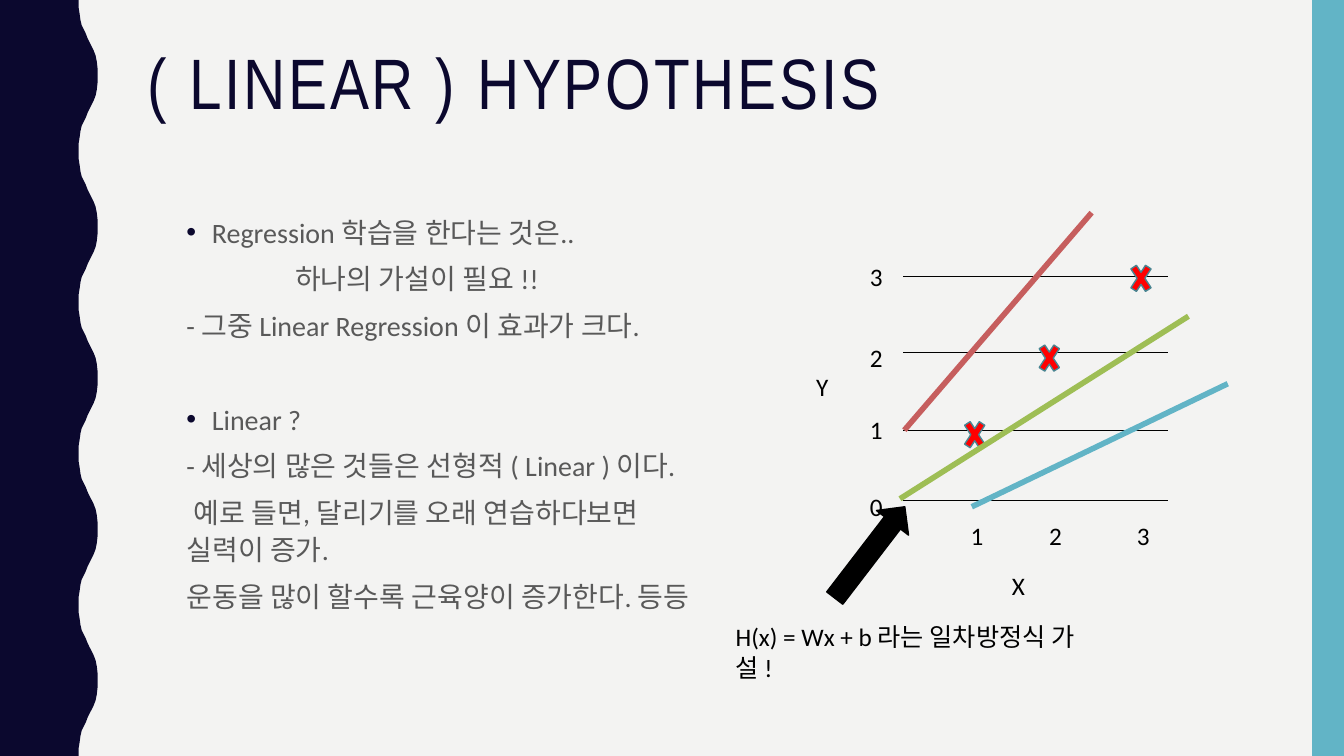
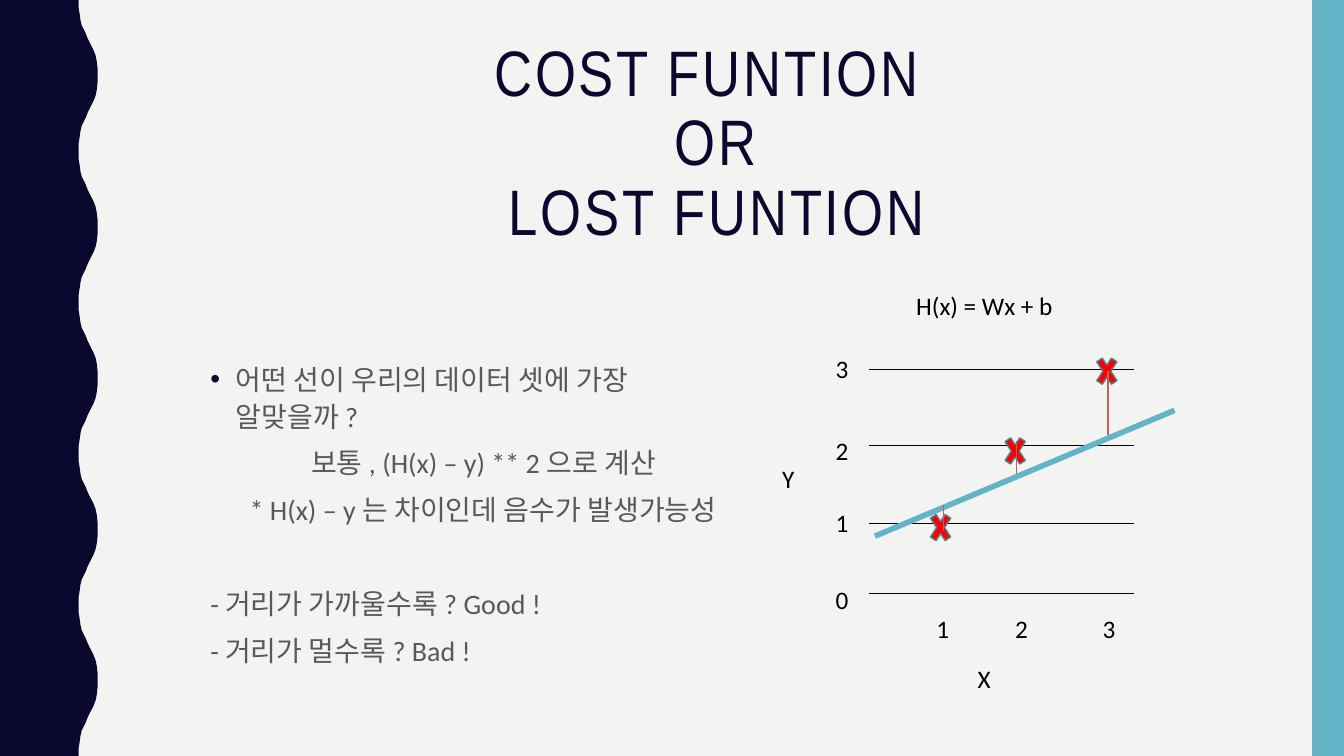
"""Build two slides on the linear hypothesis and its cost function."""
from lxml.etree import SubElement
from pptx import Presentation
from pptx.dml.color import RGBColor
from pptx.enum.shapes import MSO_CONNECTOR, MSO_SHAPE
from pptx.enum.text import MSO_ANCHOR, PP_ALIGN
from pptx.oxml.ns import qn
from pptx.util import Cm, Pt

WIDE, HIGH = 33.87, 19.05
COLORS = {
    "paper": "F3F3F2", "navy": "0B082E", "blue": "62B4C6", "grey": "595959",
    "black": "000000", "red": "FF0000", "edge": "498592",
    "rose": "C65E5E", "green": "9EBE55",
}
HEAD, BODY = "Arial Narrow", "Calibri"

WAVE = [
    (1.98, 0), (1.98, 0.18), (2.01, 0.36), (2.03, 0.51), (2.06, 0.64),
    (2.11, 0.74), (2.16, 0.84), (2.21, 0.97), (2.26, 1.07), (2.31, 1.17),
    (2.36, 1.27), (2.41, 1.4), (2.44, 1.55), (2.46, 1.73), (2.46, 1.9),
]
PERIOD, WAVES = 3.81, 5

INDENTS = {
    "bullet": (0.64, -0.64), "plain": (0, 0), "nudge": (0, 0.18),
    "star": (0.99, 0), "tab": (2.54, 0), "deep": (2.74, 0),
}
GAP, BREAK = 7, 40.5

GRID = [0, -1.78, -3.73, -5.66]
SPAN = 6.67
MARKS = [
    ("3", -1.09, -6.17), ("1", -1.09, -2.31), ("2", -1.09, -4.11),
    ("0", -1.09, -0.36), ("Y", -2.44, -3.4), ("X", 2.49, 1.63),
    ("1", 1.45, 0.36), ("2", 3.43, 0.36), ("3", 5.64, 0.36),
]
DATA = [(1.45, -2.21), (3.33, -4.14), (5.64, -6.15)]

SLIDES = [
    {
        "title": ("( LINEAR ) HYPOTHESIS", 51, PP_ALIGN.LEFT,
                  (3.48, 1.07, 28.27, 4.14)),
        "box": (4.45, 5.21, 14.48, 9.98),
        "body": [
            ("bullet", GAP, "Regression 학습을 한다는 것은.."),
            ("deep", GAP, "하나의 가설이 필요 !!"),
            ("plain", GAP, "- 그중 Linear Regression 이 효과가 크다."),
            ("bullet", BREAK, "Linear ?"),
            ("plain", GAP, "- 세상의 많은 것들은 선형적 ( Linear ) 이다."),
            ("nudge", GAP, "예로 들면, 달리기를 오래 연습하다보면\v실력이 증가."),
            ("plain", GAP, "운동을 많이 할수록 근육양이 증가한다. 등등"),
        ],
        "origin": (22.76, 12.62),
        "lines": [
            ("blue", 4, (1.73, 0.15), (8.18, -2.95)),
            ("rose", 4, (0.03, -1.78), (4.75, -7.26)),
            ("green", 4, (-0.08, -0.05), (7.19, -4.65)),
        ],
        "arrow": (-2.29, 0.79, 2.9, 1.02),
        "label": ("H(x) = Wx + b 라는 일차방정식 가\v설 !", -4.47, 2.92, 10.2),
    },
    {
        "title": ("COST FUNTION \vOR\vLOST FUNTION", 45.9, PP_ALIGN.CENTER,
                  (6.43, 0.91, 23.27, 4.14)),
        "box": (5.05, 8.92, 13.97, 8.33),
        "body": [
            ("bullet", GAP, "어떤 선이 우리의 데이터 셋에 가장\v알맞을까 ?"),
            ("tab", GAP, "보통 , (H(x) – y) ** 2 으로 계산"),
            ("star", GAP, "* H(x) – y 는 차이인데 음수가 발생가능성"),
            ("plain", BREAK, "- 거리가 가까울수록 ? Good !"),
            ("plain", GAP, "- 거리가 멀수록 ? Bad !"),
        ],
        "origin": (21.9, 14.96),
        "lines": [
            ("blue", 4, (0.15, -1.45), (7.7, -4.62)),
            ("rose", 1, (1.88, -2.24), (1.88, -1.57)),
            ("rose", 1, (3.71, -3.84), (3.71, -3.02)),
            ("rose", 1, (6.02, -5.61), (6.02, -3.99)),
        ],
        "arrow": None,
        "label": ("H(x) = Wx + b", 0.94, -7.77, 4.6),
    },
]


def tint(name):
    return RGBColor.from_string(COLORS[name])


def paint(shape, fill, line=None):
    shape.shadow.inherit = False
    shape.fill.solid()
    shape.fill.fore_color.rgb = tint(fill)
    if line:
        shape.line.color.rgb = tint(line)
        shape.line.width = Pt(1)
    else:
        shape.line.fill.background()


def add_form(slide, kind, box, fill, line=None):
    shape = slide.shapes.add_shape(kind, *map(Cm, box))
    paint(shape, fill, line)
    return shape


def add_line(slide, start, end, color, width):
    line = slide.shapes.add_connector(
        MSO_CONNECTOR.STRAIGHT, *map(Cm, (*start, *end)))
    line.line.color.rgb = tint(color)
    line.line.width = Pt(width)
    SubElement(line._element.spPr, qn("a:effectLst"))


def add_frame(slide, box):
    frame = slide.shapes.add_textbox(*map(Cm, box)).text_frame
    frame.word_wrap = True
    frame.vertical_anchor = MSO_ANCHOR.TOP
    return frame


def style(para, font, size, color):
    for run in para.runs:
        run.font.name = font
        run.font.size = Pt(size)
        run.font.color.rgb = tint(color)


def add_base(slide):
    slide.background.fill.solid()
    slide.background.fill.fore_color.rgb = tint("paper")
    cycle = WAVE + [(x, PERIOD - y) for x, y in reversed(WAVE[1:])]
    edge = [(x, y + PERIOD * turn) for turn in range(WAVES) for x, y in cycle]
    points = edge + [(WAVE[0][0], HIGH), (0, HIGH)]
    form = slide.shapes.build_freeform(0, 0)
    form.add_line_segments([(Cm(x), Cm(y)) for x, y in points])
    paint(form.convert_to_shape(), "navy")
    add_form(slide, MSO_SHAPE.RECTANGLE, (33.07, 0, 0.8, HIGH), "blue")


def add_title(slide, text, size, align, box):
    para = add_frame(slide, box).paragraphs[0]
    para.text = text
    para.alignment = align
    para.line_spacing = 0.9
    style(para, HEAD, size, "navy")
    for run in para.runs:
        run.font._element.set("spc", "200")


def add_body(slide, box, items):
    frame = add_frame(slide, box)
    for i, (kind, space, text) in enumerate(items):
        para = frame.add_paragraph() if i else frame.paragraphs[0]
        para.text = text
        para.line_spacing = 1.1
        para.space_before = Pt(space)
        style(para, BODY, 20, "grey")
        props = para._p.get_or_add_pPr()
        left, first = INDENTS[kind]
        props.set("marL", str(Cm(left)))
        props.set("indent", str(Cm(first)))
        if kind == "bullet":
            color = SubElement(props, qn("a:buClr"))
            SubElement(color, qn("a:srgbClr"), val=COLORS["navy"])
            SubElement(props, qn("a:buFont"), typeface="Arial")
            SubElement(props, qn("a:buChar"), char="•")


def add_label(slide, text, x, y, width):
    para = add_frame(slide, (x, y, width, 1.02)).paragraphs[0]
    para.text = text
    style(para, BODY, 18, "black")


def add_plot(slide, spec):
    left, base = spec["origin"]

    def place(x, y):
        return left + x, base + y

    for y in GRID:
        add_line(slide, place(0, y), place(SPAN, y), "black", 0.5)
    for text, x, y in MARKS:
        add_label(slide, text, *place(x, y), 0.95)
    for x, y in DATA:
        add_form(slide, MSO_SHAPE.MATH_MULTIPLY, (*place(x, y), 0.71, 1.09),
                 "red", "edge")
    for color, width, start, end in spec["lines"]:
        add_line(slide, place(*start), place(*end), color, width)
    if spec["arrow"]:
        x, y, wide, high = spec["arrow"]
        arrow = add_form(slide, MSO_SHAPE.RIGHT_ARROW,
                         (*place(x, y), wide, high), "black", "black")
        arrow.rotation = 307.5
    text, x, y, width = spec["label"]
    add_label(slide, text, *place(x, y), width)


def main():
    deck = Presentation()
    deck.slide_width, deck.slide_height = Cm(WIDE), Cm(HIGH)
    for item in SLIDES:
        slide = deck.slides.add_slide(deck.slide_layouts[6])
        add_base(slide)
        add_title(slide, *item["title"])
        add_body(slide, item["box"], item["body"])
        add_plot(slide, item)
    deck.save("out.pptx")


if __name__ == "__main__":
    main()
